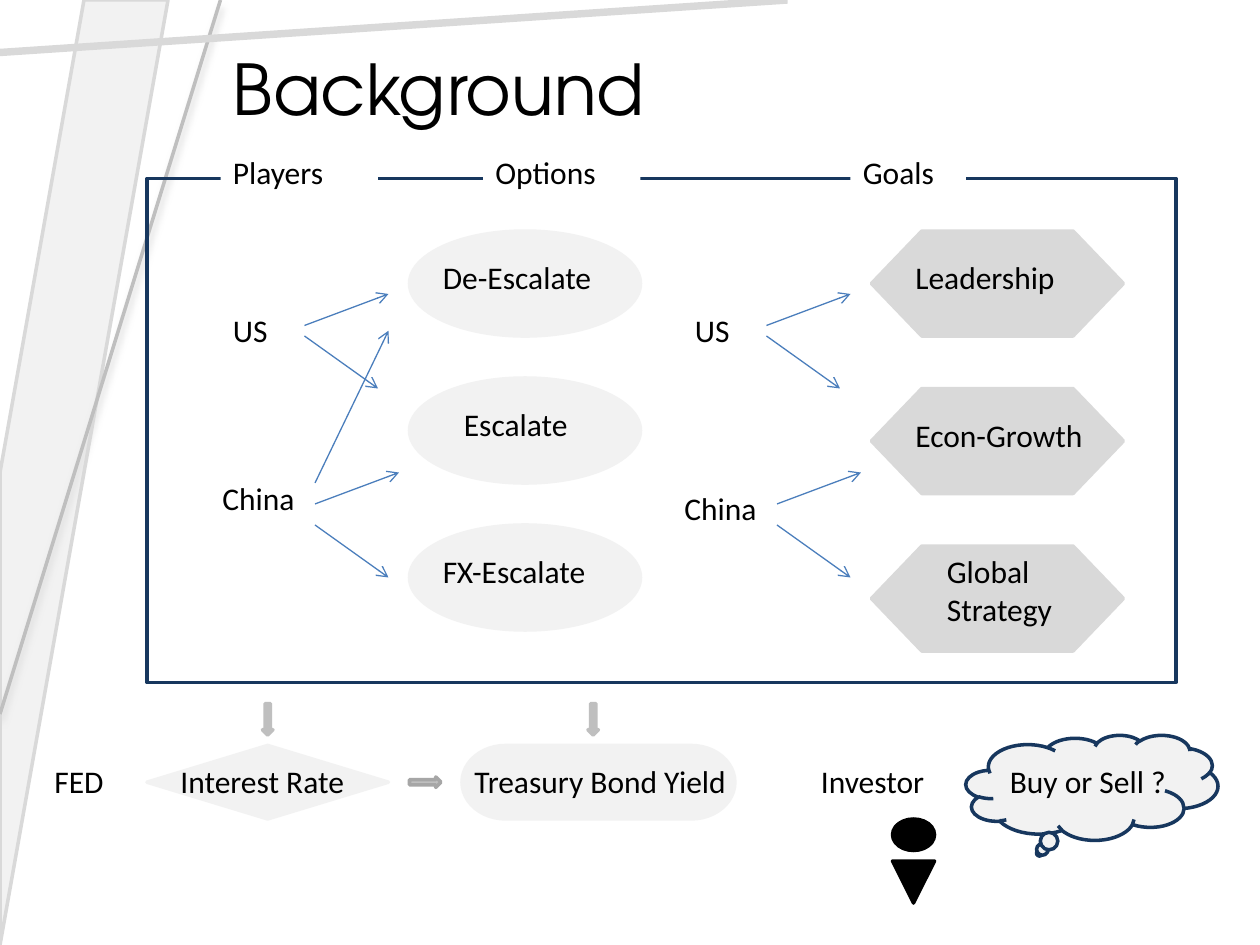
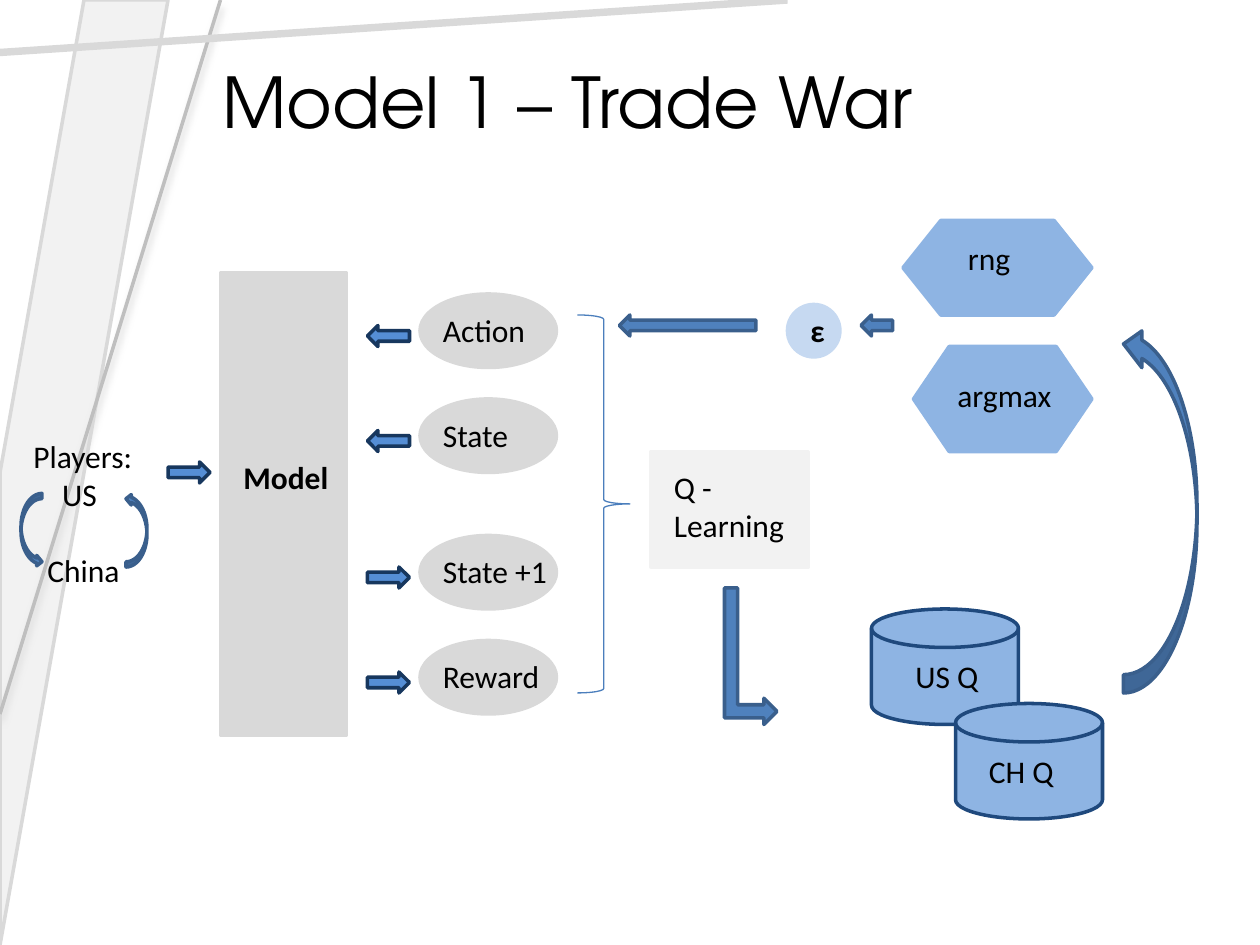
from lxml import etree
from pptx import Presentation
from pptx.dml.color import RGBColor
from pptx.enum.shapes import MSO_CONNECTOR, MSO_SHAPE
from pptx.enum.text import MSO_ANCHOR, MSO_AUTO_SIZE, PP_ALIGN
from pptx.oxml.ns import qn
from pptx.util import Cm, Pt

STRAIGHT = MSO_CONNECTOR.STRAIGHT
RECTANGLE, ELLIPSE = MSO_SHAPE.RECTANGLE, MSO_SHAPE.OVAL
STRIPE, CLOUD = MSO_SHAPE.DIAGONAL_STRIPE, MSO_SHAPE.CLOUD_CALLOUT
HEXAGON, TERMINATOR = MSO_SHAPE.FLOWCHART_PREPARATION, MSO_SHAPE.FLOWCHART_TERMINATOR
DECISION, CIRCLE = MSO_SHAPE.FLOWCHART_DECISION, MSO_SHAPE.FLOWCHART_CONNECTOR
MERGE, DISK = MSO_SHAPE.FLOWCHART_MERGE, MSO_SHAPE.FLOWCHART_MAGNETIC_DISK
RIGHT_ARROW, LEFT_ARROW = MSO_SHAPE.RIGHT_ARROW, MSO_SHAPE.LEFT_ARROW
DOWN_ARROW, BENT_ARROW = MSO_SHAPE.DOWN_ARROW, MSO_SHAPE.BENT_UP_ARROW
CURVED_ARROW, BRACE = MSO_SHAPE.CURVED_RIGHT_ARROW, MSO_SHAPE.RIGHT_BRACE
LEFT, TOP = PP_ALIGN.LEFT, MSO_ANCHOR.TOP
NO_AUTOFIT = MSO_AUTO_SIZE.NONE

COLORS = {
    "white": "FFFFFF", "black": "000000",
    "pale": "F2F2F2", "light": "D9D9D9", "gray": "BFBFBF", "dark gray": "A6A6A6",
    "navy": "17375E", "disk edge": "1F497D", "thin blue": "4B7EBC",
    "bright blue": "558ED5", "blue": "4F81BD", "blue edge": "3A5F8C",
    "sky": "8EB4E3", "pale sky": "C6D9F1",
}
BODY_FONT, TITLE_FONT = "Calibri", "TeX Gyre Adventor"
LABEL_HEIGHT = 4.8


def grid(steps):
    """Both slides sit on a grid of 120 by 90 steps."""
    return Cm(steps * 25.4 / 120)


def color(name):
    return RGBColor.from_string(COLORS[name])


def write(text_frame, text, size=18, font=BODY_FONT, bold=False, indents=(), gaps=()):
    """Write one paragraph per line; indents are in cm, gaps above in points."""
    text_frame.auto_size = NO_AUTOFIT
    text_frame.word_wrap = True
    text_frame.vertical_anchor = TOP
    text_frame.margin_left = text_frame.margin_right = Cm(0.25)
    text_frame.margin_top = text_frame.margin_bottom = Cm(0.13)
    text_frame.text = text
    for paragraph in text_frame.paragraphs:
        paragraph.alignment = LEFT
        paragraph.font.size = Pt(size)
        paragraph.font.name = font
        paragraph.font.bold = bold
        paragraph.font.color.rgb = color("black")
    for paragraph, indent in zip(text_frame.paragraphs, indents):
        paragraph._p.get_or_add_pPr().set("marL", str(Cm(indent)))
    for paragraph, gap in zip(text_frame.paragraphs, gaps):
        paragraph.space_before = Pt(gap)


def add_label(slide, text, left, top, width, **text_format):
    box = slide.shapes.add_textbox(grid(left), grid(top), grid(width), grid(LABEL_HEIGHT))
    write(box.text_frame, text, **text_format)


def add_figure(slide, kind, box, fill=None, line=None, line_width=2, rotation=0):
    shape = slide.shapes.add_shape(kind, *map(grid, box))
    shape.shadow.inherit = False
    shape.rotation = rotation
    if fill:
        shape.fill.solid()
        shape.fill.fore_color.rgb = color(fill)
    else:
        shape.fill.background()
    if line:
        shape.line.color.rgb = color(line)
        shape.line.width = Pt(line_width)
    else:
        shape.line.fill.background()
    return shape


def add_line(slide, start, end, line, width, arrow=False, shadow=None):
    connector = slide.shapes.add_connector(STRAIGHT, *map(grid, (*start, *end)))
    connector.line.color.rgb = color(line)
    connector.line.width = Pt(width)
    if arrow:
        etree.SubElement(connector.line._get_or_add_ln(), qn("a:tailEnd"), type="arrow")
    effects = etree.SubElement(connector._element.spPr, qn("a:effectLst"))
    if shadow:
        outer = etree.SubElement(effects, qn("a:outerShdw"), blurRad=str(Pt(4)),
                                 dist=str(Pt(4)), dir="5400000", rotWithShape="0")
        etree.SubElement(outer, qn("a:srgbClr"), val=COLORS[shadow])


def add_titled_slide(presentation, text, left, top, width):
    slide = presentation.slides.add_slide(presentation.slide_layouts[5])
    title = slide.shapes.title
    title.left, title.top, title.width, title.height = map(grid, (left, top, width, 9.25))
    write(title.text_frame, text, size=40, font=TITLE_FONT)
    # Decoration in the corner
    add_figure(slide, STRIPE, (0, 0, 16, 90), "pale", "light")
    add_line(slide, (21, 0), (0, 68), "gray", 2, shadow="light")
    add_line(slide, (0, 5), (75, 0), "light", 4.25)
    return slide


def build_background(presentation):
    slide = add_titled_slide(presentation, "Background", 21, 3.7, 47)

    # Frame with its column headings
    add_figure(slide, RECTANGLE, (14, 17, 98, 48), line="navy")
    for text, left, width in (("Players", 21, 15), ("Options", 46, 15), ("Goals", 81, 11)):
        heading = add_figure(slide, RECTANGLE, (left, 14, width, LABEL_HEIGHT), "white")
        write(heading.text_frame, text)

    # Options and goals
    options = (("De-Escalate", 41), ("Escalate", 43), ("FX-Escalate", 41))
    for row, (text, left) in enumerate(options):
        top = 22 + 14 * row
        add_figure(slide, ELLIPSE, (39, top, 22, 10), "pale", "pale")
        add_label(slide, text, left, top + 2, 19)
    goals = (("Leadership", 86, 2), ("Econ-Growth", 86, 2), ("Global\nStrategy", 89, 0))
    for row, (text, left, drop) in enumerate(goals):
        top = 22 + 15 * row
        add_figure(slide, HEXAGON, (83, top, 24, 10), "light", "light")
        add_label(slide, text, left, top + drop, 21)

    # Players and their arrows, once for options and once for goals
    choices = (((29, 31), (37, 28)), ((29, 32), (36, 37)),
               ((30, 48), (38, 45)), ((30, 50), (37, 55)))
    for shift, china_top in ((0, 45), (44, 46)):
        add_label(slide, "US", 21 + shift, 29, 16)
        add_label(slide, "China", 20 + shift, china_top, 16)
        for (x1, y1), (x2, y2) in choices:
            add_line(slide, (x1 + shift, y1), (x2 + shift, y2), "thin blue", 0.75, arrow=True)
    add_line(slide, (30, 46), (37, 31.5), "thin blue", 0.75, arrow=True)

    # Market reaction under the frame
    add_figure(slide, DECISION, (14, 71, 23, 7), "pale", "pale")
    add_figure(slide, TERMINATOR, (44, 71, 26, 7), "pale", "pale")
    add_figure(slide, CLOUD, (92, 70, 24, 10), "pale", "navy")
    for text, left, width in (("FED", 4, 9), ("Interest Rate", 16, 20),
                              ("Treasury Bond Yield", 44, 33),
                              ("Investor", 77, 14), ("Buy or Sell ?", 95, 19)):
        add_label(slide, text, left, 72, width)
    add_figure(slide, RIGHT_ARROW, (39, 74, 3, 1), "gray", "dark gray")
    for left in (25, 56):
        add_figure(slide, DOWN_ARROW, (left, 67, 1, 3), "gray", "gray")

    # Investor figure
    add_figure(slide, CIRCLE, (85, 78, 4, 3), "black", "black")
    add_figure(slide, MERGE, (85, 82, 4, 4), "black", "black")


def build_trade_war_model(presentation):
    slide = add_titled_slide(presentation, "Model 1 – Trade War", 20, 5, 83)

    # Players taking turns
    add_label(slide, "Players:\nUS\nChina", 2, 41, 15, indents=(0, 0.58, 0.28), gaps=(0, 0, 22))
    for left, rotation in ((2, 0), (12, 180)):
        add_figure(slide, CURVED_ARROW, (left, 47, 2, 7), "blue", "blue edge", rotation=rotation)
    add_figure(slide, RIGHT_ARROW, (16, 44, 4, 2), "bright blue", "navy")

    # Model with its inputs and outputs
    add_figure(slide, RECTANGLE, (21, 26, 12, 44), "light", "light")
    add_label(slide, "Model", 22, 43, 11, bold=True)
    signals = (("Action", 28, LEFT_ARROW), ("State", 38, LEFT_ARROW),
               ("State +1", 51, RIGHT_ARROW), ("Reward", 61, RIGHT_ARROW))
    for text, top, arrow in signals:
        add_figure(slide, ELLIPSE, (40, top, 13, 7), "light", "light")
        add_label(slide, text, 41, top + 1, 13)
        add_figure(slide, arrow, (35, top + 3, 4, 2), "bright blue", "navy")
    add_figure(slide, BRACE, (55, 30, 5, 36), line="thin blue", line_width=0.75)

    # Learning step and the value stores
    add_figure(slide, RECTANGLE, (62, 43, 15, 11), "pale", "pale")
    add_label(slide, "Q - Learning", 63, 44, 13)
    add_figure(slide, BENT_ARROW, (65, 60, 13, 5), "blue", "blue edge", rotation=90)
    for text, left, top, label_left in (("US Q", 83, 58, 86), ("CH Q", 91, 67, 93)):
        add_figure(slide, DISK, (left, top, 14, 11), "sky", "disk edge")
        add_label(slide, text, label_left, top + 4, 10)
    add_figure(slide, CURVED_ARROW, (107, 31, 7, 35), "blue", "blue edge", rotation=180)

    # Choice of the next action
    add_figure(slide, HEXAGON, (86, 21, 18, 9), "sky", "sky")
    add_label(slide, "rng", 91, 22.2, 10)
    add_figure(slide, HEXAGON, (87, 33, 17, 10), "sky", "sky")
    add_label(slide, "argmax", 90, 35.2, 12)
    add_figure(slide, CIRCLE, (75, 29, 5, 5), "pale sky", "pale sky")
    add_label(slide, "ε", 76, 29, 6, bold=True)
    for left, width in ((82, 3), (59, 13)):
        add_figure(slide, LEFT_ARROW, (left, 30, width, 2), "blue", "blue edge")


def main():
    presentation = Presentation()
    presentation.slide_width, presentation.slide_height = Cm(25.4), Cm(19.05)
    build_background(presentation)
    build_trade_war_model(presentation)
    presentation.save("out.pptx")


if __name__ == "__main__":
    main()
